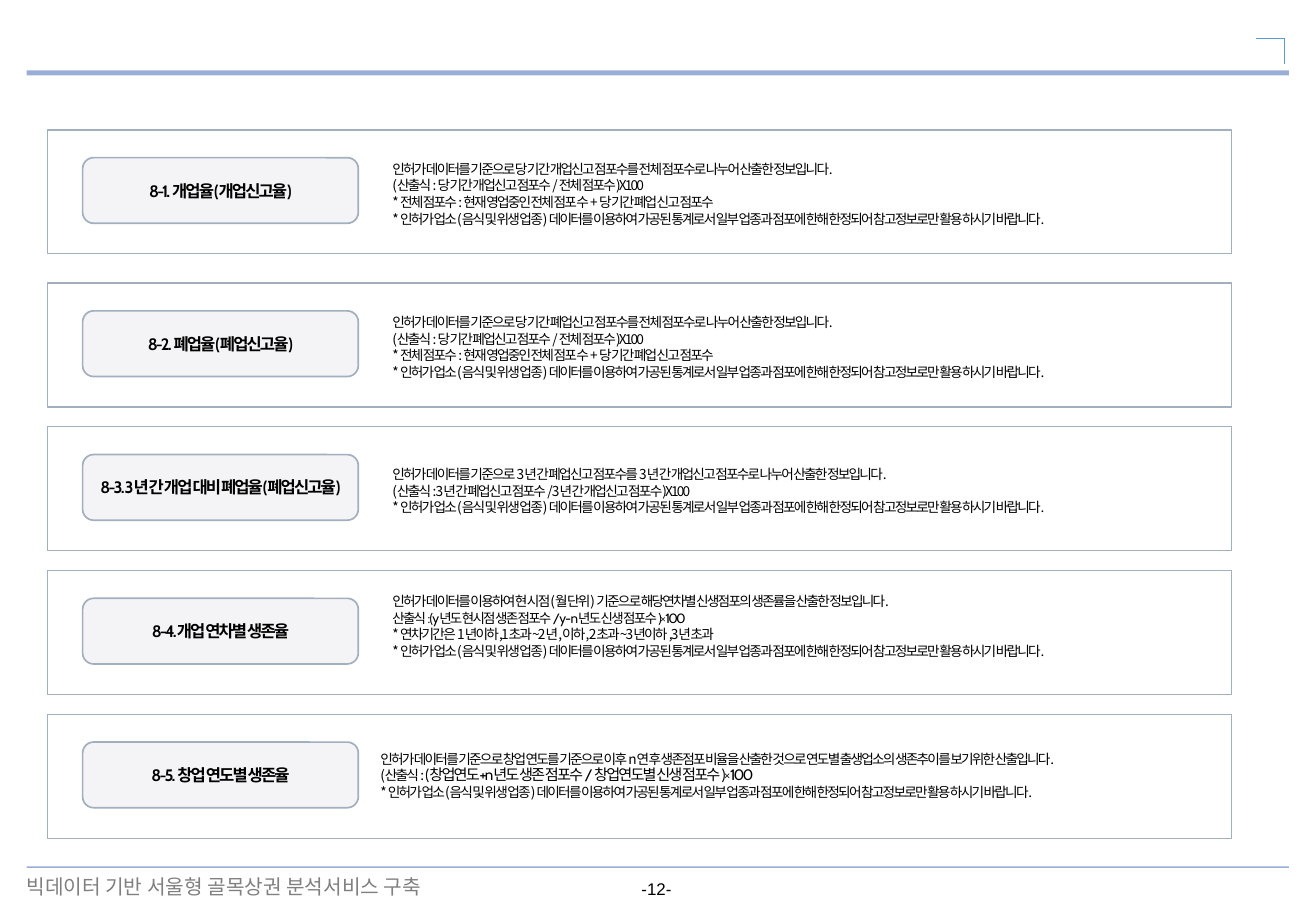
from pptx import Presentation
from pptx.dml.color import RGBColor
from pptx.enum.shapes import MSO_CONNECTOR, MSO_SHAPE
from pptx.enum.text import MSO_ANCHOR, PP_ALIGN
from pptx.oxml.ns import qn
from pptx.util import Pt
from lxml import etree

# Content
FOOTER = "빅데이터 기반 서울형 골목상권 분석서비스 구축"
PAGE_NUMBER = "-12-"
LICENCE_NOTE = ("* 인허가 업소(음식 및 위생 업종) 데이터를 이용하여 가공된 통계로서 일부 업종과 점포에 "
                "한해 한정되어 참고정보로만 활용 하시기 바랍니다.")
TOTAL_NOTE = "* 전체 점포수 : 현재 영업중인 전체 점포 수 + 당 기간 폐업 신고 점포수"
NOTO, CABIN, ARIAL = "Noto Sans CJK KR", "Cabin", "Arial"
BODY = (NOTO, 8.1)


def rate_lines(kind):
    return [
        f"인허가 데이터를 기준으로 당 기간 {kind}신고 점포수를 전체 점포수로 나누어 산출한 정보입니다.",
        f"(산출식 : 당 기간 {kind}신고 점포수 / 전체 점포수)X100",
        TOTAL_NOTE,
        LICENCE_NOTE,
    ]


# A line is a string in the body font, or a list of (text, (font, size)) runs.
# Each row: top, label, description lines, shift of the description (x, y)
INDICATORS = [
    (77, "8-1. 개업율(개업신고율)", rate_lines("개업"), (0, 0)),
    (167.8, "8-2. 폐업율(폐업신고율)", rate_lines("폐업"), (0, 0)),
    (253, "8-3. 3년 간 개업 대비 폐업율(폐업신고율)", [
        "인허가 데이터를 기준으로 3년 간 폐업신고 점포수를 3년 간 개업신고 점포수로 나누어 산출한 정보입니다.",
        "(산출식 : 3년 간 폐업신고 점포수 / 3년 간 개업신고 점포수)X100",
        LICENCE_NOTE,
    ], (0, 0)),
    (338.2, "8-4.개업 연차별 생존율", [
        "인허가 데이터를 이용하여 현 시점(월 단위) 기준으로 해당연차별 신생점포의 생존률을 산출한 정보입니다.",
        [("산출식 : ( y년도 현시점 생존 점포수 / y - n년도 신생 점포수 )× 100", (CABIN, 8))],
        "* 연차기간은 1년이하,1초과~2년,이하, 2초과~3년이하 ,3년 초과",
        LICENCE_NOTE,
    ], (0, -5)),
    (423.4, "8-5. 창업 연도별 생존율", [
        "인허가 데이터를 기준으로 창업 연도를 기준으로 이후 n연 후 생존점포 비율을 산출한 것으로 "
        "연도별 출생업소의 생존추이를 보기위한 산출입니다.",
        [("(산출식 : ", BODY),
         ("(창업연도+n년도 생존 점포수 / 창업연도별 신생 점포수 )× 100", (CABIN, 9))],
        LICENCE_NOTE,
    ], (-7.2, -1.4)),
]

# Rules: start, end, colour, width, opacity in percent
RULES = [
    ((15.8, 43.2), (764, 43.2), "navy", 3, 40),
    ((15.8, 514), (764, 514), "navy", 1, 40),
    ((744.5, 23), (761.5, 23), "corner", 0.5, 100),
    ((761.3, 23), (761.3, 38), "corner", 0.5, 100),
]

COLOURS = {"navy": "003399", "corner": "5B9BD5", "border": "A2AFBF",
           "label": "F4F4F6", "text": "000000", "footer": "808080"}
FRAME_LEFT, FRAME_WIDTH, FRAME_HEIGHT = 28, 702, 73.5
LABEL_WIDTH, LABEL_HEIGHT = 163.4, 38.9
TEXT_LEFT, TEXT_WIDTH, TEXT_HEIGHT = 232.6, 496.8, 59.8
LINE_PITCH = 9.8


def colour(name):
    return RGBColor.from_string(COLOURS[name])


def format_run(run, font, size, fill="text", bold=False, tracking=0):
    run.font.name, run.font.size, run.font.bold = font, Pt(size), bold
    run.font.color.rgb = colour(fill)
    properties = run.font._element
    if tracking:
        properties.set("spc", str(round(tracking * 100)))
    east_asian = etree.Element(qn("a:ea"), typeface=font)
    properties.find(qn("a:latin")).addnext(east_asian)


def add_rule(slide, start, end, stroke, width, opacity):
    rule = slide.shapes.add_connector(MSO_CONNECTOR.STRAIGHT, *map(Pt, start + end))
    rule.line.color.rgb, rule.line.width = colour(stroke), Pt(width)
    if opacity < 100:
        tint = rule.line._ln.find(".//" + qn("a:srgbClr"))
        etree.SubElement(tint, qn("a:alpha"), val=str(opacity * 1000))
    etree.SubElement(rule._element.spPr, qn("a:effectLst"))


def add_box(slide, preset, bounds, fill, width):
    box = slide.shapes.add_shape(preset, *map(Pt, bounds))
    box.shadow.inherit = False
    if fill:
        box.fill.solid()
        box.fill.fore_color.rgb = colour(fill)
    else:
        box.fill.background()
    box.line.color.rgb, box.line.width = colour("border"), Pt(width)
    return box


def add_caption(slide, bounds, text, font, size, fill, align, wrap):
    frame = slide.shapes.add_textbox(*map(Pt, bounds)).text_frame
    frame.word_wrap = wrap
    frame.text = text
    frame.paragraphs[0].alignment = align
    format_run(frame.paragraphs[0].runs[0], font, size, fill)


def add_label(slide, top, text):
    bounds = (FRAME_LEFT + 21, top + (FRAME_HEIGHT - LABEL_HEIGHT) / 2 - 0.8,
              LABEL_WIDTH, LABEL_HEIGHT)
    label = add_box(slide, MSO_SHAPE.ROUNDED_RECTANGLE, bounds, "label", 1)
    frame = label.text_frame
    frame.word_wrap = False
    frame.vertical_anchor = MSO_ANCHOR.MIDDLE
    frame.text = text
    frame.paragraphs[0].alignment = PP_ALIGN.CENTER
    format_run(frame.paragraphs[0].runs[0], CABIN, 9.8, bold=True, tracking=-1.1)


def add_description(slide, top, lines, shift):
    bounds = (TEXT_LEFT + shift[0], top + 6.5 + shift[1], TEXT_WIDTH, TEXT_HEIGHT)
    frame = slide.shapes.add_textbox(*map(Pt, bounds)).text_frame
    frame.word_wrap = True
    frame.vertical_anchor = MSO_ANCHOR.MIDDLE
    frame.margin_left, frame.margin_top = Pt(0), Pt(5.7)
    frame.margin_right, frame.margin_bottom = Pt(5.7), Pt(2.9)
    for index, line in enumerate(lines):
        paragraph = frame.add_paragraph() if index else frame.paragraphs[0]
        paragraph.line_spacing = Pt(LINE_PITCH)
        for text, (font, size) in [(line, BODY)] if isinstance(line, str) else line:
            run = paragraph.add_run()
            run.text = text
            format_run(run, font, size, tracking=-1.1)


def main():
    deck = Presentation()
    deck.slide_width, deck.slide_height = Pt(780), Pt(540)
    slide = deck.slides.add_slide(deck.slide_layouts[6])

    # Header, footer and corner mark
    for rule in RULES:
        add_rule(slide, *rule)
    add_caption(slide, (372.2, 517, 33.8, 19.4), PAGE_NUMBER, ARIAL, 10, "text",
                PP_ALIGN.CENTER, False)
    add_caption(slide, (8.6, 514.8, 287.3, 21.6), FOOTER, NOTO, 12, "footer",
                PP_ALIGN.LEFT, True)

    # Indicator rows
    for top, label, lines, shift in INDICATORS:
        add_box(slide, MSO_SHAPE.RECTANGLE,
                (FRAME_LEFT, top, FRAME_WIDTH, FRAME_HEIGHT), None, 0.75)
        add_label(slide, top, label)
        add_description(slide, top, lines, shift)

    deck.save("out.pptx")


if __name__ == "__main__":
    main()
